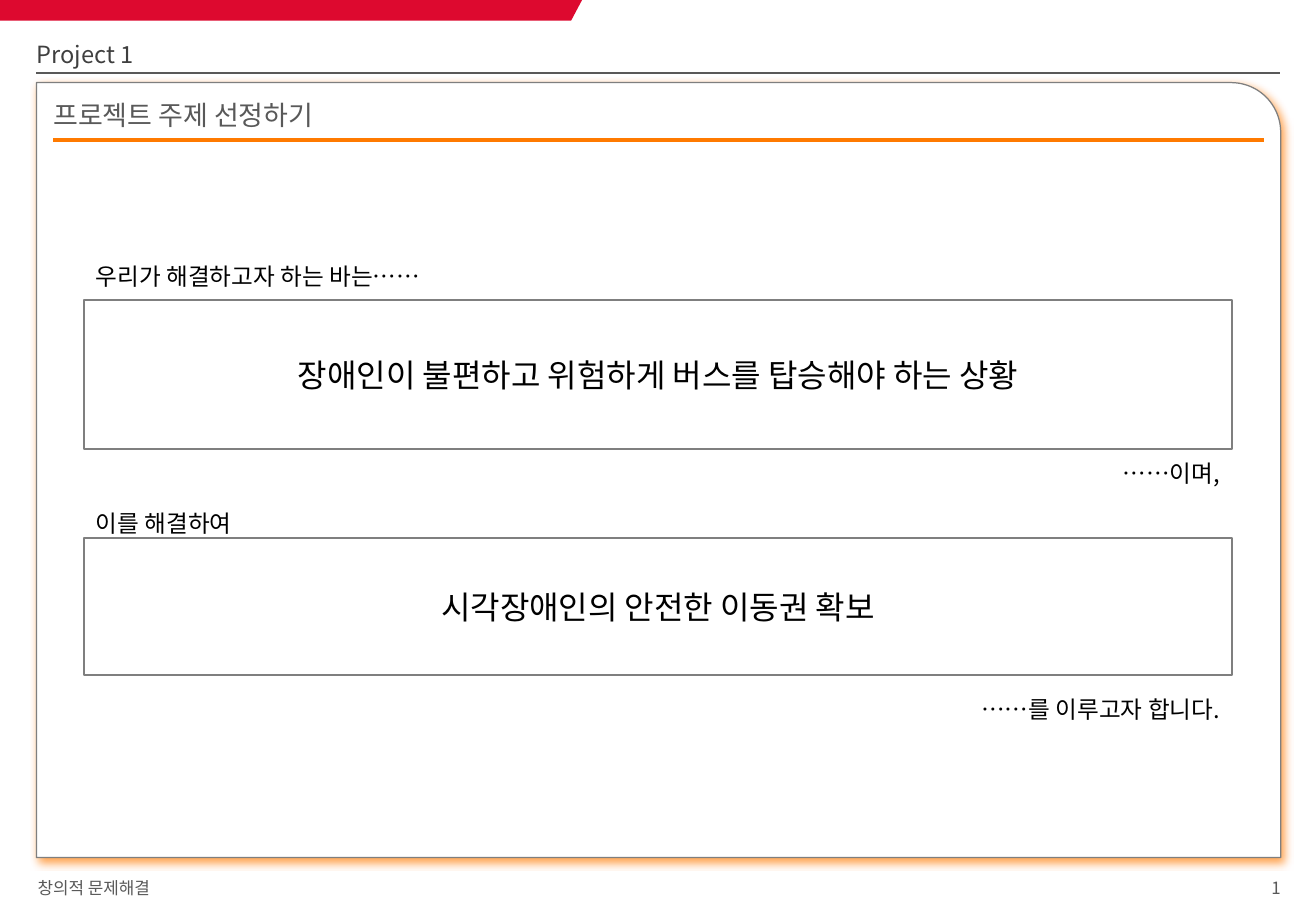
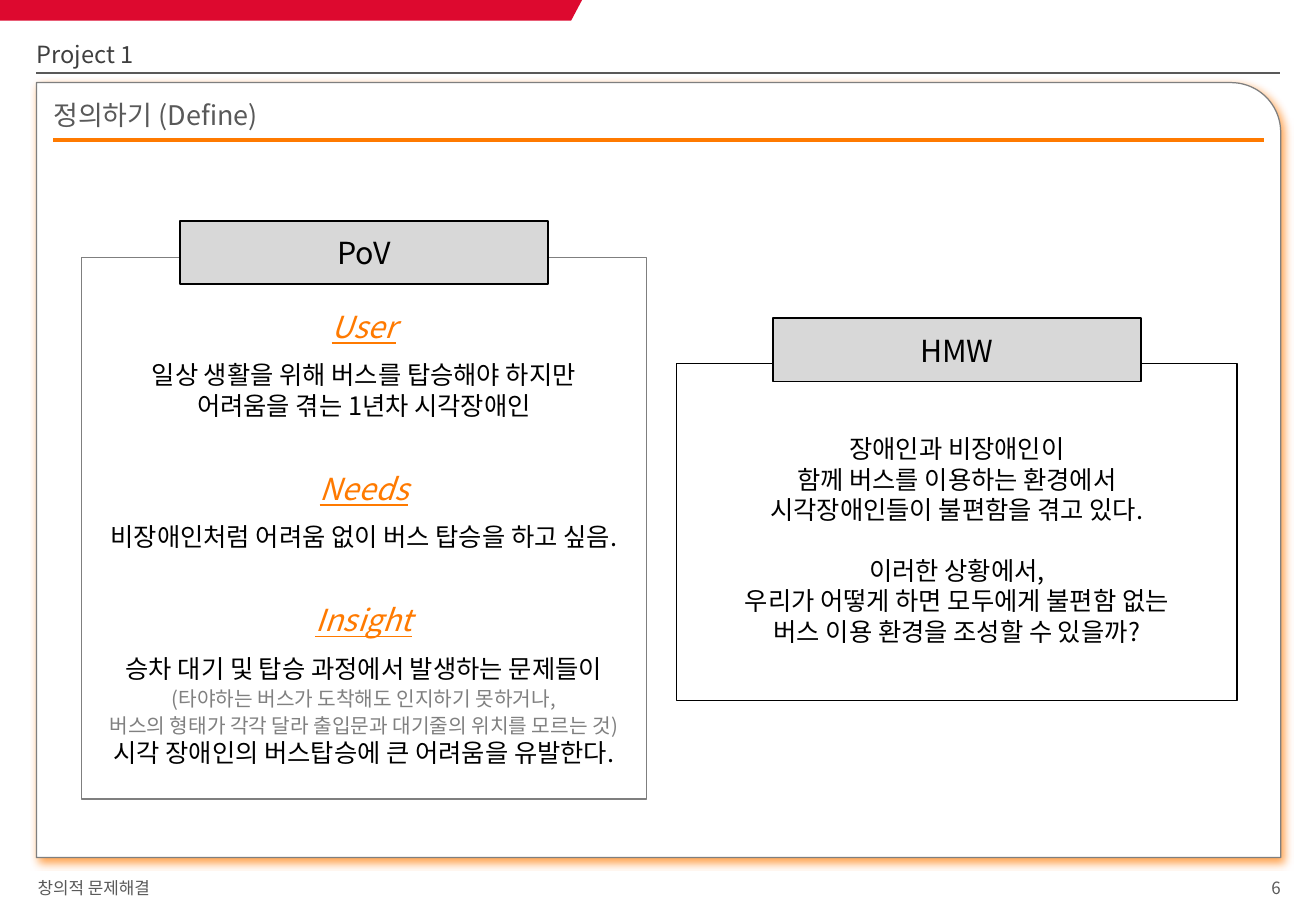
"""Build two project worksheet slides that share one frame."""
from dataclasses import dataclass

from lxml import etree
from pptx import Presentation
from pptx.dml.color import RGBColor
from pptx.enum.shapes import MSO_CONNECTOR, MSO_SHAPE
from pptx.enum.text import MSO_ANCHOR, PP_ALIGN
from pptx.oxml.ns import qn
from pptx.util import Inches, Pt

LEFT, CENTER, RIGHT = PP_ALIGN.LEFT, PP_ALIGN.CENTER, PP_ALIGN.RIGHT
TOP, MIDDLE = MSO_ANCHOR.TOP, MSO_ANCHOR.MIDDLE
RECTANGLE, ROUND_CORNER = MSO_SHAPE.RECTANGLE, MSO_SHAPE.ROUND_1_RECTANGLE
STRAIGHT = MSO_CONNECTOR.STRAIGHT
CELL = Inches(0.1)
COLUMNS, ROWS = 108.3, 75


@dataclass(frozen=True)
class Theme:
    font: str = "Noto Sans CJK KR"
    red: str = "DD092F"
    orange: str = "FF7A00"
    black: str = "000000"
    white: str = "FFFFFF"
    header: str = "3F3F3F"
    muted: str = "595959"
    border: str = "7F7F7F"
    note: str = "808080"
    label: str = "D8D8D8"
    footer_size: int = 10
    note_size: int = 12
    lead_size: int = 14
    body_size: int = 15
    title_size: int = 16
    heading_size: int = 18
    answer_size: int = 19


THEME = Theme()
HEADING = dict(size=THEME.heading_size, color=THEME.orange, italic=True,
               underline=True, pitch=22, before=29)
STATEMENT = dict(size=THEME.body_size, pitch=18, before=9)
CLOSING = dict(size=THEME.body_size, pitch=18)
NOTE = dict(size=THEME.note_size, color=THEME.note, pitch=16)
QUESTION = dict(size=THEME.body_size, pitch=18, before=18)


def grid(*cells):
    return [round(cell * CELL) for cell in cells]


def write(para, text, size=THEME.body_size, color=THEME.black, align=LEFT,
          italic=None, underline=None, pitch=None, before=0):
    para.text = text
    para.alignment = align
    if pitch:
        para.line_spacing = Pt(pitch)
    if before:
        para.space_before = Pt(before)
    for span in para.runs:
        font = span.font
        font.name, font.size = THEME.font, Pt(size)
        font.color.rgb = RGBColor.from_string(color)
        font.italic, font.underline = italic, underline
        east_asian = etree.SubElement(font._element, qn("a:ea"))
        east_asian.set("typeface", THEME.font)


class Deck:
    def __init__(self, theme):
        self.theme = theme
        self.file = Presentation()
        self.file.slide_width, self.file.slide_height = grid(COLUMNS, ROWS)
        self.page = None

    def fill_text(self, box, paragraphs, anchor=MIDDLE, align=LEFT,
                  insets=(1, 0.5, 1, 0.5)):
        frame = box.text_frame
        frame.word_wrap = True
        frame.vertical_anchor = anchor
        (frame.margin_left, frame.margin_top,
         frame.margin_right, frame.margin_bottom) = grid(*insets)
        for index, (text, style) in enumerate(paragraphs):
            para = frame.add_paragraph() if index else frame.paragraphs[0]
            style = style if index else {**style, "before": 0}
            write(para, text, align=align, **style)

    def text(self, at, text, size, color=THEME.black, **layout):
        box = self.page.shapes.add_textbox(*grid(*at))
        self.fill_text(box, [(text, dict(size=size, color=color))], **layout)

    def shape(self, at, fill, line, width=1, kind=RECTANGLE):
        box = self.page.shapes.add_shape(kind, *grid(*at))
        box.shadow.inherit = False
        box.fill.solid()
        box.fill.fore_color.rgb = RGBColor.from_string(fill)
        box.line.color.rgb = RGBColor.from_string(line)
        box.line.width = Pt(width)
        return box

    def panel(self, at, paragraphs, line=THEME.border, width=1,
              fill=THEME.white, **layout):
        box = self.shape(at, fill, line, width)
        self.fill_text(box, paragraphs, align=CENTER, **layout)

    def label(self, left, top, text):
        self.panel((left, top, 30.3, 5.2),
                   [(text, dict(size=self.theme.heading_size))],
                   line=self.theme.black, fill=self.theme.label)

    def rule(self, left, right, row, color, width):
        line = self.page.shapes.add_connector(
            STRAIGHT, *grid(left, row, right, row))
        line.line.color.rgb = RGBColor.from_string(color)
        line.line.width = Pt(width)
        etree.SubElement(line._element.spPr, qn("a:effectLst"))

    def band(self):
        corners = [grid(*corner) for corner in
                   ((0, 0), (47.9, 0), (47, 1.7), (0, 1.7))]
        builder = self.page.shapes.build_freeform(*corners[0])
        builder.add_line_segments(corners[1:])
        band = builder.convert_to_shape()
        band.shadow.inherit = False
        band.fill.solid()
        band.fill.fore_color.rgb = RGBColor.from_string(self.theme.red)
        band.line.fill.background()

    def card(self):
        card = self.shape((3, 6.8, 102.4, 63.8), self.theme.white,
                          self.theme.border, 0.75, ROUND_CORNER)
        card.adjustments[0] = 0.064
        effects = card._element.spPr.find(qn("a:effectLst"))
        glow = etree.SubElement(
            effects, qn("a:outerShdw"), blurRad=str(Pt(5)), dist=str(Pt(3)),
            dir="2700000", algn="tl", rotWithShape="0")
        color = etree.SubElement(glow, qn("a:srgbClr"), val=self.theme.orange)
        etree.SubElement(color, qn("a:alpha"), val="69000")

    def start_page(self, title, number):
        theme = self.theme
        self.page = self.file.slides.add_slide(self.file.slide_layouts[6])
        flush = (0, 0.5, 0, 0.5)
        self.band()
        self.text((79.4, 71.7, 26, 2.7), number, theme.footer_size,
                  theme.muted, align=RIGHT, insets=flush)
        self.text((3.1, 71.7, 54.2, 2.7), "창의적 문제해결",
                  theme.footer_size, theme.muted, insets=flush)
        self.rule(3, 105.3, 6, theme.muted, 1)
        self.card()
        self.rule(4.4, 104, 11.5, theme.orange, 2.25)
        self.text((3, 2.9, 85, 3.1), "Project 1", theme.lead_size,
                  theme.header, insets=flush)
        self.text((4.4, 7.6, 99.6, 3.9), title, theme.title_size,
                  theme.muted, anchor=TOP, insets=flush)


def build_topic(deck):
    deck.start_page("프로젝트 주제 선정하기", "1")
    left, width = 6.9, 94.5
    answers = ((24.7, 12.3, "장애인이 불편하고 위험하게 버스를 탑승해야 하는 상황"),
               (44.3, 11.3, "시각장애인의 안전한 이동권 확보"))
    for top, height, answer in answers:
        deck.panel((left, top, width, height),
                   [(answer, dict(size=THEME.answer_size))])
    leads = ((20.8, LEFT, "우리가 해결하고자 하는 바는……"),
             (37, RIGHT, "……이며,"),
             (41.1, LEFT, "이를 해결하여"),
             (56.4, RIGHT, "……를 이루고자 합니다."))
    for top, align, lead in leads:
        deck.text((left, top, width, 3.9), lead, THEME.lead_size, align=align)


def build_definition(deck):
    deck.start_page("정의하기 (Define)", "6")
    deck.panel((6.7, 21.2, 46.5, 44.6), [
        ("User", HEADING),
        ("일상 생활을 위해 버스를 탑승해야 하지만\n어려움을 겪는 1년차 시각장애인", STATEMENT),
        ("Needs", HEADING),
        ("비장애인처럼 어려움 없이 버스 탑승을 하고 싶음.", STATEMENT),
        ("Insight", HEADING),
        ("승차 대기 및 탑승 과정에서 발생하는 문제들이", STATEMENT),
        ("(타야하는 버스가 도착해도 인지하기 못하거나,\n"
         "버스의 형태가 각각 달라 출입문과 대기줄의 위치를 모르는 것)", NOTE),
        ("시각 장애인의 버스탑승에 큰 어려움을 유발한다.", CLOSING),
    ], anchor=TOP, insets=(1, 4.1, 1, 0.5))
    deck.panel((55.7, 29.9, 46.1, 27.8), [
        ("장애인과 비장애인이\n함께 버스를 이용하는 환경에서\n"
         "시각장애인들이 불편함을 겪고 있다.", CLOSING),
        ("이러한 상황에서,", QUESTION),
        ("우리가 어떻게 하면 모두에게 불편함 없는\n"
         "버스 이용 환경을 조성할 수 있을까?", CLOSING),
    ], line=THEME.black, width=0.75, anchor=TOP, insets=(1, 5.8, 1, 1))
    deck.label(14.8, 18.2, "PoV")
    deck.label(63.6, 26.2, "HMW")


def main():
    deck = Deck(THEME)
    build_topic(deck)
    build_definition(deck)
    deck.file.save("out.pptx")


if __name__ == "__main__":
    main()
